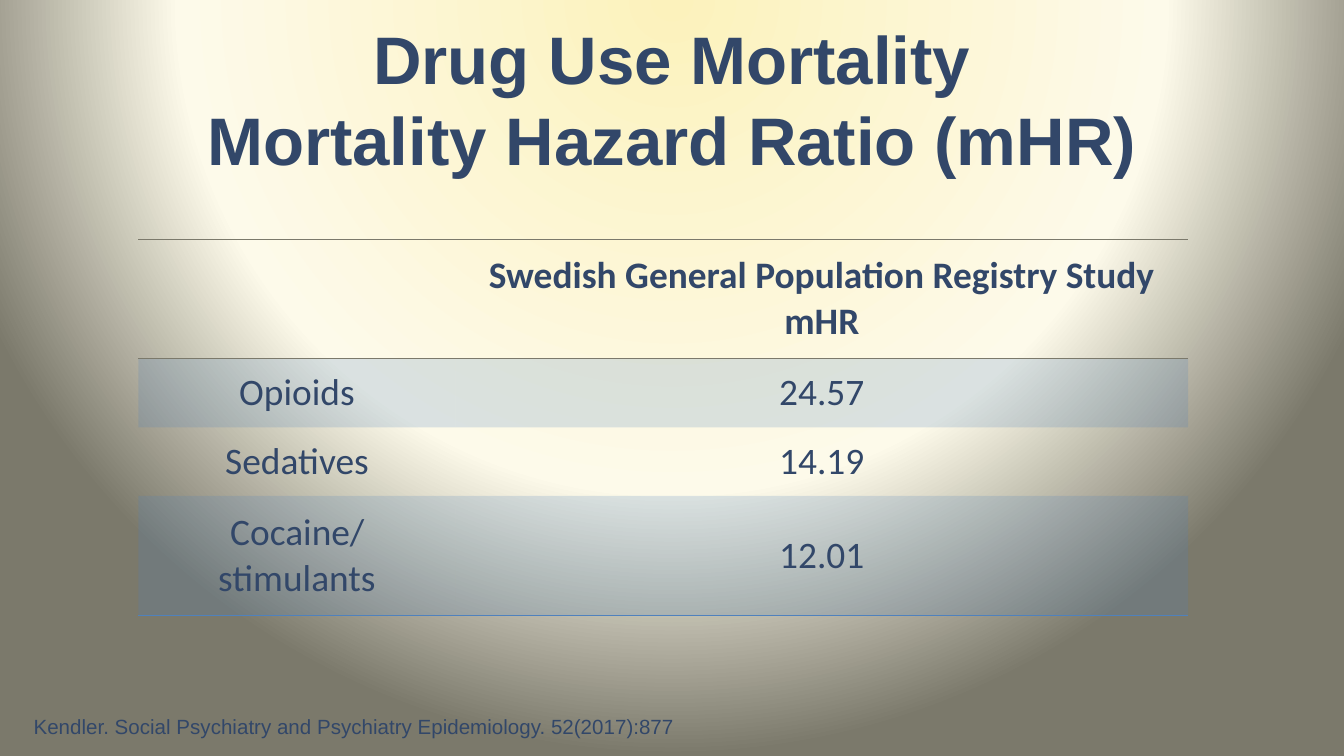
"""Build a slide with a table of drug use mortality hazard ratios."""
from lxml import etree
from pptx import Presentation
from pptx import util as u
from pptx.dml.color import RGBColor
from pptx.enum import text
from pptx.oxml import ns

COLORS = {"ink": "324769", "accent": "4F81BD", "glow": "FCF2BC",
          "cream": "FDFAEA", "edge": "7B796B"}
NO_STYLE = "{2D5ABB26-0587-4C30-8999-92F81FD0307C}"
ROWS = [
    ["", "Swedish General Population Registry Study\nmHR"],
    ["Opioids", "24.57"],
    ["Sedatives", "14.19"],
    ["Cocaine/stimulants", "12.01"],
]
COLUMN_WIDTHS = [2.36, 5.45]
ROW_HEIGHTS = [0.89, 0.51, 0.51, 0.89]
HEADER_RULE = ("edge", 0.5)
BOTTOM_RULE = ("accent", 1)


def add_node(parent, tag, **attributes):
    """Append an XML child with the given attributes."""
    node = etree.SubElement(parent, ns.qn(tag))
    for name, value in attributes.items():
        node.set(name, str(value))
    return node


def add_color(parent, name):
    """Append a colour from the palette."""
    return add_node(parent, "a:srgbClr", val=COLORS[name])


def set_background(page):
    """Fill the background with a radial glow from the top."""
    page.background.fill.gradient()
    gradient = next(page.element.iter(ns.qn("a:gradFill")))
    for child in list(gradient):
        gradient.remove(child)
    stops = add_node(gradient, "a:gsLst")
    for position, name in [(0, "glow"), (64, "cream"), (98, "edge")]:
        add_color(add_node(stops, "a:gs", pos=position * 1000), name)
    circle = add_node(gradient, "a:path", path="circle")
    add_node(circle, "a:fillToRect", l=50000, t=-80000, r=50000, b=180000)


def format_paragraph(para, font, size, bold=False, align=None):
    """Set the font and alignment of a paragraph."""
    para.alignment = align
    para.font.name = font
    para.font.size = u.Pt(size)
    para.font.bold = bold
    para.font.color.rgb = RGBColor.from_string(COLORS["ink"])


def fill_placeholder(box, place, words, anchor):
    """Move a placeholder, fill it and return its paragraph."""
    box.left, box.top, box.width, box.height = map(u.Inches, place)
    frame = box.text_frame
    frame.text = words
    frame.word_wrap = True
    frame.auto_size = text.MSO_AUTO_SIZE.NONE
    frame.vertical_anchor = anchor
    return frame.paragraphs[0]


def add_title(page):
    """Write the two-line title."""
    para = fill_placeholder(page.shapes.title, (0.5, 0.26, 9, 0.94),
                            "Drug Use Mortality\vMortality Hazard Ratio (mHR)",
                            text.MSO_ANCHOR.MIDDLE)
    format_paragraph(para, "Arial", 36, True, text.PP_ALIGN.CENTER)


def add_citation(page):
    """Write the citation without a bullet."""
    para = fill_placeholder(
        page.placeholders[1], (0.15, 5.26, 7.41, 0.35),
        "Kendler. Social Psychiatry and Psychiatry Epidemiology. 52(2017):877",
        text.MSO_ANCHOR.TOP)
    format_paragraph(para, "Arial", 11, align=text.PP_ALIGN.LEFT)
    para.space_before = u.Pt(0)
    properties = para._p.get_or_add_pPr()
    properties.set("marL", "0")
    properties.set("indent", "0")
    properties.insert_element_before(
        etree.Element(ns.qn("a:buNone")), "a:tabLst", "a:defRPr", "a:extLst")


def style_cell(cell, borders, shaded):
    """Set the borders and the translucent band of a cell."""
    properties = cell._tc.get_or_add_tcPr()
    for tag, (name, width) in borders.items():
        line = add_node(properties, tag, w=u.Pt(width))
        add_color(add_node(line, "a:solidFill"), name)
    if shaded:
        color = add_color(add_node(properties, "a:solidFill"), "accent")
        add_node(color, "a:alpha", val=20000)
    else:
        cell.fill.background()


def add_ratio_table(page):
    """Add the table of hazard ratios."""
    frame = page.shapes.add_table(
        len(ROWS), len(COLUMN_WIDTHS), u.Inches(1.03), u.Inches(1.78),
        u.Inches(sum(COLUMN_WIDTHS)), u.Inches(sum(ROW_HEIGHTS)))
    table = frame.table
    next(frame._element.iter(ns.qn("a:tableStyleId"))).text = NO_STYLE
    for column, width in zip(table.columns, COLUMN_WIDTHS):
        column.width = u.Inches(width)
    borders = {0: {"a:lnT": HEADER_RULE, "a:lnB": HEADER_RULE},
               len(ROWS) - 1: {"a:lnB": BOTTOM_RULE}}
    for index, words in enumerate(ROWS):
        table.rows[index].height = u.Inches(ROW_HEIGHTS[index])
        for cell, value in zip(table.rows[index].cells, words):
            cell.text = value
            cell.vertical_anchor = text.MSO_ANCHOR.MIDDLE
            for para in cell.text_frame.paragraphs:
                format_paragraph(para, "Calibri", 20, index == 0,
                                 text.PP_ALIGN.CENTER)
            style_cell(cell, borders.get(index, {}), index % 2 == 1)


def main():
    """Build and save the deck."""
    deck = Presentation()
    deck.slide_width, deck.slide_height = u.Inches(10), u.Inches(10 * 9 / 16)
    page = deck.slides.add_slide(deck.slide_layouts[1])
    set_background(page)
    add_title(page)
    add_citation(page)
    add_ratio_table(page)
    deck.save("out.pptx")


main()
